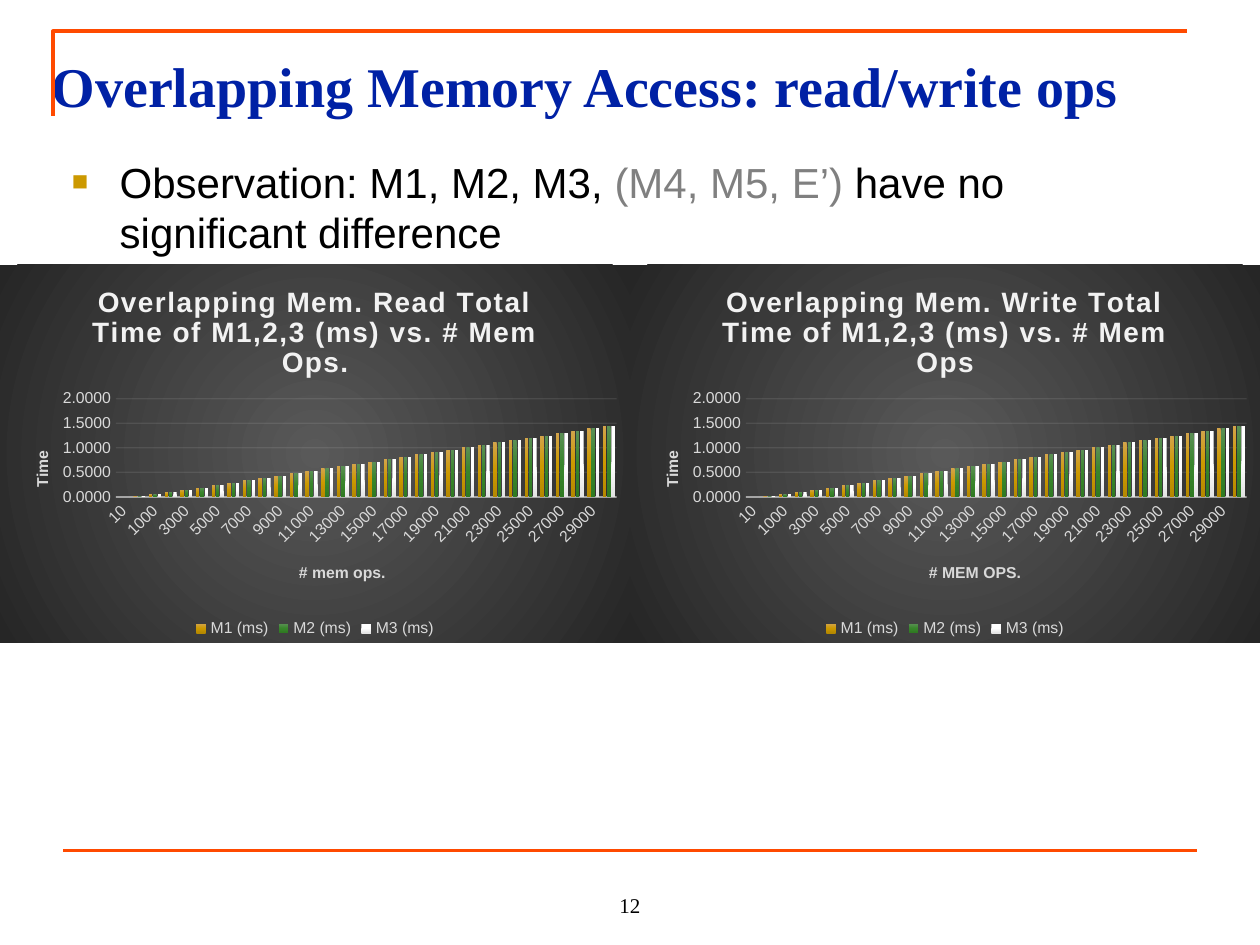
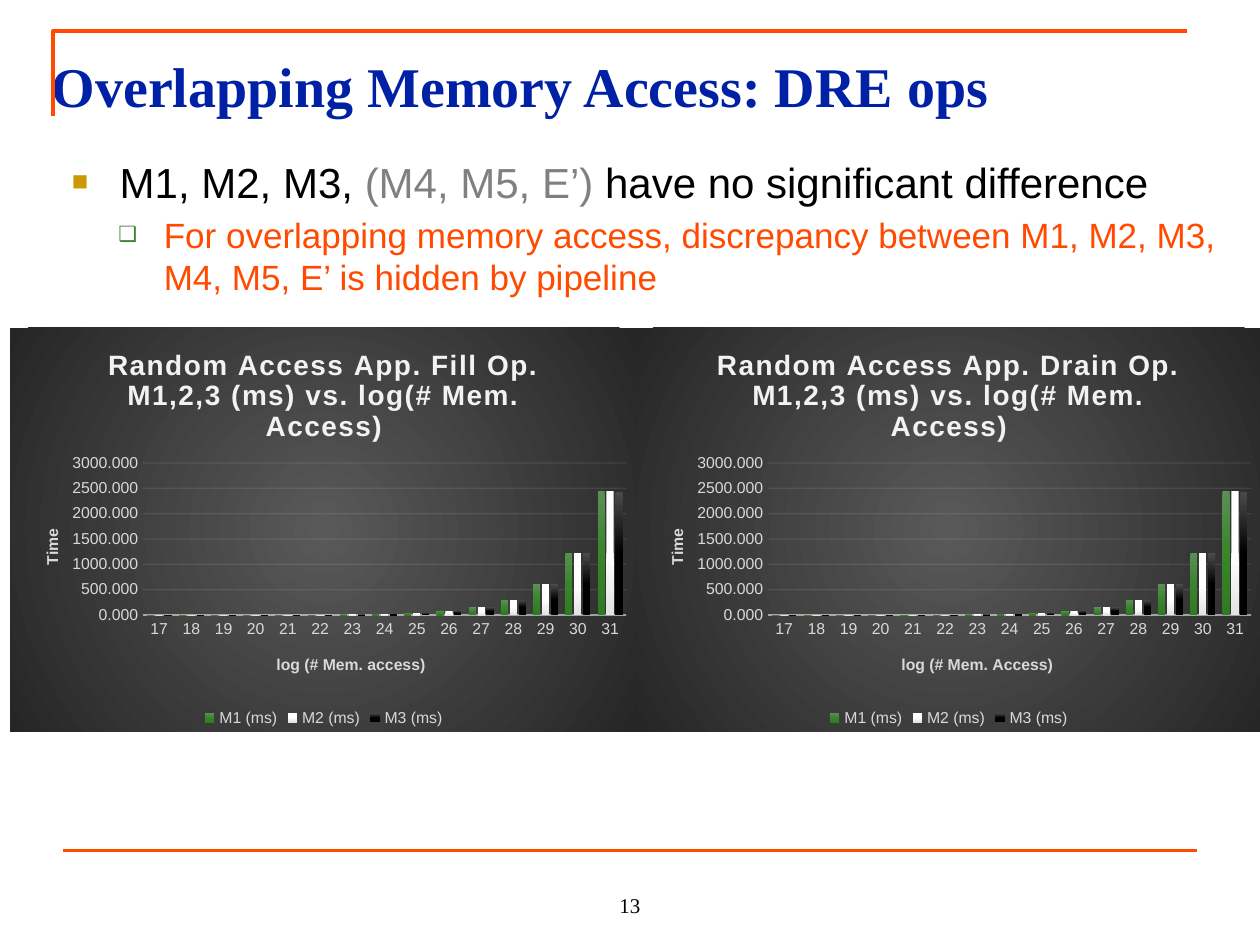
"""Build two slides that compare memory access times in paired charts."""
from dataclasses import dataclass

from lxml import etree
from pptx import Presentation
from pptx.chart.data import CategoryChartData as ChartData
from pptx.dml.color import RGBColor as Rgb
from pptx.enum.chart import XL_CHART_TYPE as Kind
from pptx.enum.chart import XL_LEGEND_POSITION as Spot
from pptx.enum.chart import XL_TICK_MARK as Tick
from pptx.enum.shapes import MSO_CONNECTOR as Link
from pptx.enum.text import MSO_ANCHOR as Anchor
from pptx.enum.text import MSO_AUTO_SIZE as Fit
from pptx.enum.text import PP_ALIGN as Align
from pptx.oxml import parse_xml
from pptx.oxml.ns import nsdecls, qn
from pptx.util import Inches, Pt


@dataclass(frozen=True)
class Theme:
    sans: str = "Arial"
    serif: str = "Times New Roman"
    rule: str = "FF4A00"
    title: str = "0021A5"
    ink: str = "000000"
    mute: str = "808080"
    pale: str = "F2F2F2"
    label: str = "D9D9D9"
    gold: tuple = ("D3A44B", "CC9900", "B58800")
    green: tuple = ("5B9055", "38852B", "2F7A22")
    white: tuple = ("FFFFFF", "FFFFFF", "E3E3E3")
    black: tuple = ("4B4B4B", "000000", "000000")
    panel: tuple = ("595959", "262626")
    title_size: int = 32
    head_size: int = 16
    base_size: int = 10
    small_size: int = 9
    page_size: int = 12
    rule_size: float = 2.25


@dataclass(frozen=True)
class Level:
    size: int
    color: str
    mark: str
    mark_color: str
    scale: int
    left: float
    hang: float


@dataclass(frozen=True)
class Point:
    level: int
    runs: tuple


@dataclass(frozen=True)
class Frame:
    plot: tuple
    name_x: tuple
    name_y: tuple
    form: str


@dataclass(frozen=True)
class Graph:
    box: tuple
    title: str
    name: str
    cats: tuple
    rows: tuple
    fills: tuple
    frame: Frame


@dataclass(frozen=True)
class Page:
    number: int
    title: str
    body: tuple
    points: tuple
    graphs: tuple


T = Theme()
LEVELS = (
    Level(24, T.ink, "■", "CC9900", 65, 0.38, -0.38),
    Level(20, T.rule, "❑", "3B812F", 60, 0.73, -0.36),
)
OPS = (10, 100, *range(1000, 30001, 1000))
LOGS = tuple(range(17, 32))
OPS_FRAME = Frame((0.184, 0.355, 0.795, 0.26), (0.47, 0.78), (0.046, 0.485), "0.0000")
LOG_FRAME = Frame((0.212, 0.335, 0.77, 0.376), (0.42, 0.8), (0.046, 0.49), "0.000")

READ = (0, 0.01, 0.05, 0.1, 0.15, 0.19, 0.24, 0.29, 0.34, 0.39, 0.43,
        0.48, 0.53, 0.58, 0.63, 0.68, 0.72, 0.77, 0.82, 0.87, 0.91, 0.96,
        1.01, 1.06, 1.11, 1.16, 1.2, 1.25, 1.3, 1.35, 1.4, 1.44)
DRE = (0, 0, 0, 0, 0, 0, 10, 20, 40, 80, 150, 300, 610, 1220, 2440)


def swap(vals: tuple, new: dict) -> tuple:
    return tuple(new.get(i, val) for i, val in enumerate(vals))


WRITE = swap(READ, {20: 0.92, 26: 1.21, 31: 1.45})
READ_ROWS = (READ, READ, swap(READ, {4: 0.14, 15: 0.67}))
WRITE_ROWS = (WRITE, WRITE, swap(WRITE, {15: 0.67, 26: 1.2}))
DRE_ROWS = (DRE, DRE, swap(DRE, {14: 2430}))
OPS_FILLS = (T.gold, T.green, T.white)
DRE_FILLS = (T.green, T.white, T.black)
MUTED = ("(M4, M5, E’) ", T.mute)

PAGES = (
    Page(
        12, "Overlapping Memory Access: read/write ops", (0.47, 1.15, 9.06, 0.91),
        (Point(0, (("Observation: M1, M2, M3, ", None), MUTED,
                   ("have no significant difference", None))),),
        (Graph((0, 2.1, 5, 3),
               "Overlapping Mem. Read Total Time of M1,2,3 (ms) vs. # Mem Ops.",
               "# mem ops.", OPS, READ_ROWS, OPS_FILLS, OPS_FRAME),
         Graph((5, 2.1, 5, 3),
               "Overlapping Mem. Write Total Time of M1,2,3 (ms) vs. # Mem Ops",
               "# MEM OPS.", OPS, WRITE_ROWS, OPS_FILLS, OPS_FRAME)),
    ),
    Page(
        13, "Overlapping Memory Access: DRE ops", (0.47, 1.15, 9.29, 5.37),
        (Point(0, (("M1, M2, M3, ", None), MUTED,
                   ("have no significant difference", None))),
         Point(1, (("For overlapping memory access, discrepancy between M1, M2, M3, "
                    "M4, M5, E’ is hidden by pipeline", None),))),
        (Graph((0.08, 2.6, 4.98, 3.21),
               "Random Access App. Fill Op. M1,2,3 (ms) vs. log(# Mem. Access)",
               "log (# Mem. access)", LOGS, DRE_ROWS, DRE_FILLS, LOG_FRAME),
         Graph((5.04, 2.6, 4.98, 3.21),
               "Random Access App. Drain Op. M1,2,3 (ms) vs. log(# Mem. Access)",
               "log (# Mem. Access)", LOGS, DRE_ROWS, DRE_FILLS, LOG_FRAME)),
    ),
)


def style(font, size: float, color: str, face: str = T.sans, bold: bool = False) -> None:
    font.size, font.name, font.bold = Pt(size), face, bold
    font.color.rgb = Rgb.from_string(color)


def place(shape, box: tuple) -> None:
    shape.left, shape.top, shape.width, shape.height = map(Inches, box)


def stroke(line, color: str, width: float, alpha: int = 100) -> None:
    line.width = Pt(width)
    line.color.rgb = Rgb.from_string(color)
    if alpha < 100:
        tone = line.fill._xPr.find(f"{qn('a:solidFill')}/{qn('a:srgbClr')}")
        etree.SubElement(tone, qn("a:alpha")).set("val", str(alpha * 1000))


def blend(colors: tuple, shade: str) -> str:
    step = 100000 // (len(colors) - 1)
    stops = "".join(f'<a:gs pos="{i * step}"><a:srgbClr val="{c}"/></a:gs>'
                    for i, c in enumerate(colors))
    return f'<a:gradFill {nsdecls("a")}><a:gsLst>{stops}</a:gsLst>{shade}</a:gradFill>'


def set_layout(owner, spots: tuple, inner: bool = False) -> None:
    old = owner.find(qn("c:layout"))
    index = 0 if old is None else owner.index(old)
    if old is not None:
        owner.remove(old)
    target = '<c:layoutTarget val="inner"/>' if inner else ""
    modes = "".join(f'<c:{k}Mode val="edge"/>' for k in "xy")
    sizes = "".join(f'<c:{k} val="{v}"/>' for k, v in zip("xywh", spots))
    owner.insert(index, parse_xml(
        f'<c:layout {nsdecls("c")}><c:manualLayout>{target}{modes}{sizes}'
        "</c:manualLayout></c:layout>"))


def name_axis(axis, text: str, spot: tuple, turn: int) -> None:
    frame = axis.axis_title.text_frame
    frame.text = text
    style(frame.paragraphs[0].font, T.small_size, T.label, bold=True)
    axis.axis_title.element.xpath("c:tx/c:rich/a:bodyPr")[0].set("rot", str(turn * 60000))
    set_layout(axis.axis_title.element, spot)
    axis.major_tick_mark = axis.minor_tick_mark = Tick.NONE
    style(axis.tick_labels.font, T.small_size, T.label)


def draw_graph(slide, graph: Graph) -> None:
    data = ChartData()
    data.categories = [str(cat) for cat in graph.cats]
    for i, row in enumerate(graph.rows, 1):
        data.add_series(f"M{i} (ms)", row)
    chart = slide.shapes.add_chart(
        Kind.COLUMN_CLUSTERED, *map(Inches, graph.box), data).chart
    style(chart.font, T.base_size, T.ink)

    chart.has_title = True
    frame = chart.chart_title.text_frame
    frame.text = graph.title
    style(frame.paragraphs[0].font, T.head_size, T.pale, bold=True)
    chart.chart_title.element.xpath(".//a:defRPr")[0].set("spc", "100")

    chart.has_legend = True
    chart.legend.position = Spot.BOTTOM
    chart.legend.include_in_layout = False
    style(chart.legend.font, T.small_size, T.label)

    cat, val = chart.category_axis, chart.value_axis
    name_axis(cat, graph.name, graph.frame.name_x, 0)
    name_axis(val, "Time", graph.frame.name_y, -90)
    stroke(cat.format.line, T.pale, 1, 54)
    val.format.line.fill.background()
    stroke(val.major_gridlines.format.line, T.pale, 0.75, 10)
    val.tick_labels.number_format = graph.frame.form
    val.tick_labels.number_format_is_linked = False

    plot = chart.plots[0]
    plot.gap_width, plot.overlap, plot.vary_by_categories = 100, -24, False
    for series, colors in zip(plot.series, graph.fills):
        series.format.fill.solid()
        flat = series._element.xpath("c:spPr/a:solidFill")[0]
        flat.getparent().replace(flat, parse_xml(
            blend(colors, '<a:lin ang="5400000" scaled="0"/>')))

    set_layout(chart.element.xpath("c:chart/c:plotArea")[0], graph.frame.plot, True)
    rect = '<a:fillToRect l="50000" t="50000" r="50000" b="50000"/>'
    fill = blend(T.panel, f'<a:path path="circle">{rect}</a:path>')
    chart.element.find(qn("c:chart")).addnext(parse_xml(
        f'<c:spPr {nsdecls("c", "a")}>{fill}<a:ln><a:noFill/></a:ln></c:spPr>'))


def draw_base(slide, number: int) -> None:
    pen = slide.shapes.build_freeform(Inches(0.42), Inches(0.92))
    pen.add_line_segments(
        [(Inches(0.42), Inches(0.25)), (Inches(9.42), Inches(0.25))], close=False)
    edge = pen.convert_to_shape()
    edge.shadow.inherit = False
    edge.fill.background()
    stroke(edge.line, T.rule, T.rule_size)

    rule = slide.shapes.add_connector(
        Link.STRAIGHT, *map(Inches, (0.5, 6.75, 9.5, 6.75)))
    stroke(rule.line, T.rule, T.rule_size)
    etree.SubElement(rule.element.spPr, qn("a:effectLst"))

    frame = slide.shapes.add_textbox(*map(Inches, (4, 6.83, 2, 0.5))).text_frame
    frame.word_wrap, frame.vertical_anchor = True, Anchor.BOTTOM
    para = frame.paragraphs[0]
    para.text, para.alignment = str(number), Align.CENTER
    style(para.font, T.page_size, T.ink, T.serif)


def set_frame(frame, top: float) -> None:
    frame.word_wrap, frame.auto_size = True, Fit.NONE
    frame.vertical_anchor, frame.margin_top = Anchor.TOP, Inches(top)


def write_point(para, point: Point, first: bool) -> None:
    level = LEVELS[point.level]
    para.level = point.level
    props = para._p.get_or_add_pPr()
    props.set("marL", str(Inches(level.left)))
    props.set("indent", str(Inches(level.hang)))
    color = etree.SubElement(props, qn("a:buClr"))
    etree.SubElement(color, qn("a:srgbClr")).set("val", level.mark_color)
    etree.SubElement(props, qn("a:buSzPct")).set("val", str(level.scale * 1000))
    etree.SubElement(props, qn("a:buChar")).set("char", level.mark)
    para.space_before = Pt(0 if first else level.size * 0.2)
    style(para.font, level.size, level.color)
    for text, tone in point.runs:
        run = para.add_run()
        run.text = text
        if tone:
            run.font.color.rgb = Rgb.from_string(tone)


def draw_page(deck, page: Page) -> None:
    slide = deck.slides.add_slide(deck.slide_layouts[1])
    draw_base(slide, page.number)
    title, body = slide.shapes.title, slide.placeholders[1]
    place(title, (0.31, 0.3, 9.72, 0.87))
    set_frame(title.text_frame, 0.11)
    para = title.text_frame.paragraphs[0]
    para.text, para.alignment = page.title, Align.LEFT
    style(para.font, T.title_size, T.title, T.serif, True)

    place(body, page.body)
    set_frame(body.text_frame, 0.09)
    for i, point in enumerate(page.points):
        para = body.text_frame.add_paragraph() if i else body.text_frame.paragraphs[0]
        write_point(para, point, i == 0)
    for graph in page.graphs:
        draw_graph(slide, graph)


def main() -> None:
    deck = Presentation()
    deck.slide_width, deck.slide_height = Inches(10), Inches(7.5)
    for page in PAGES:
        draw_page(deck, page)
    deck.save("out.pptx")


if __name__ == "__main__":
    main()
